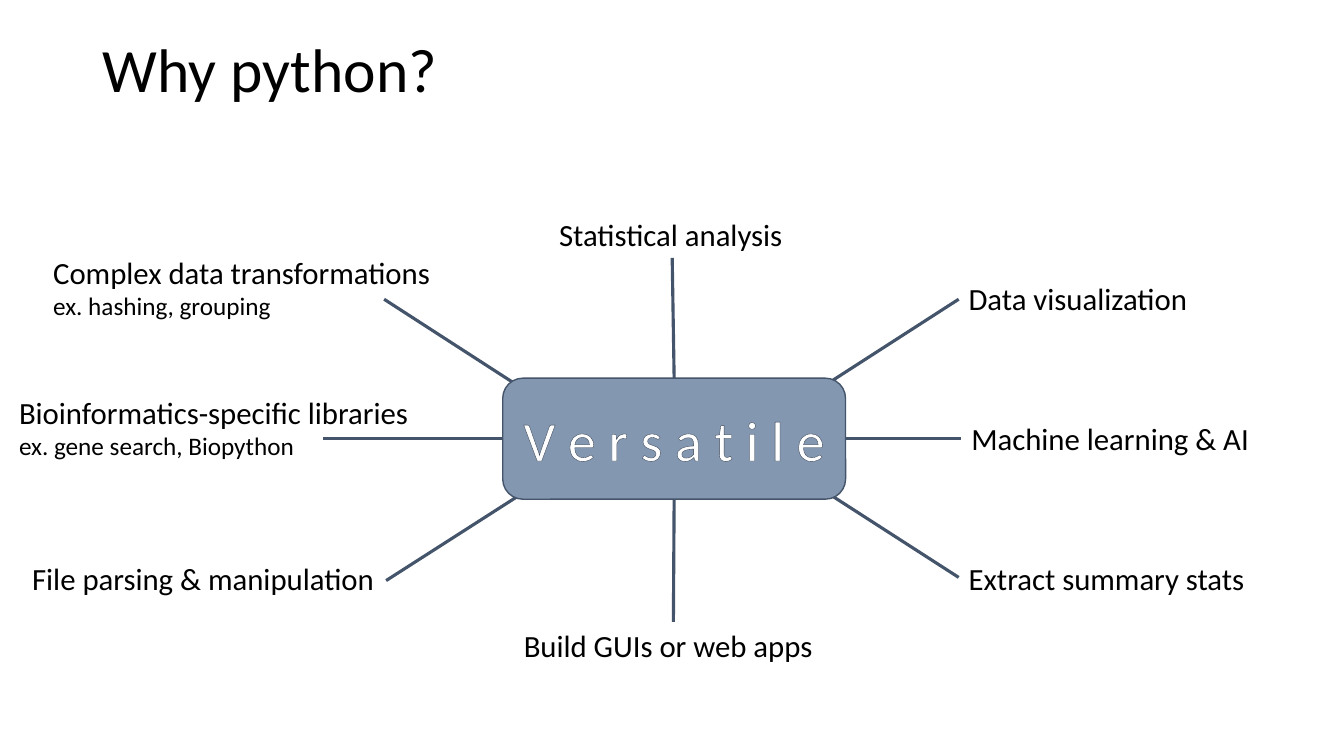
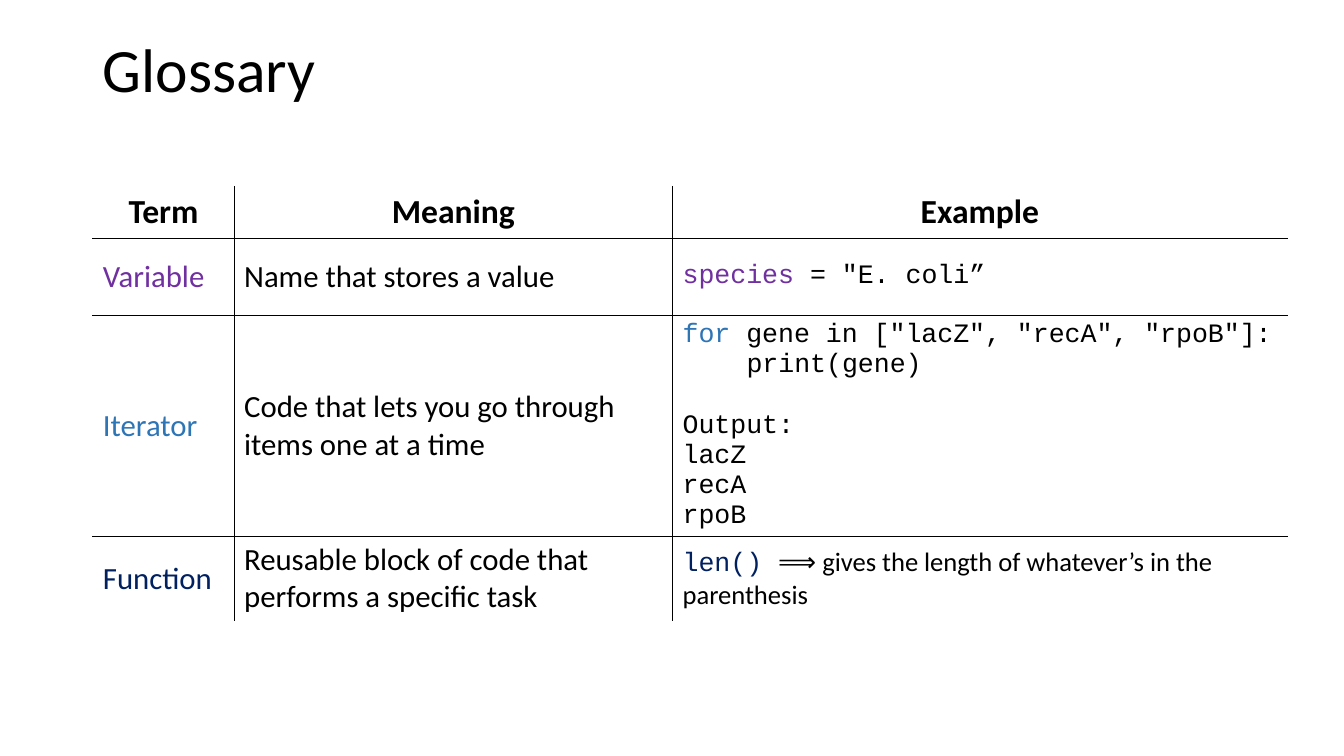
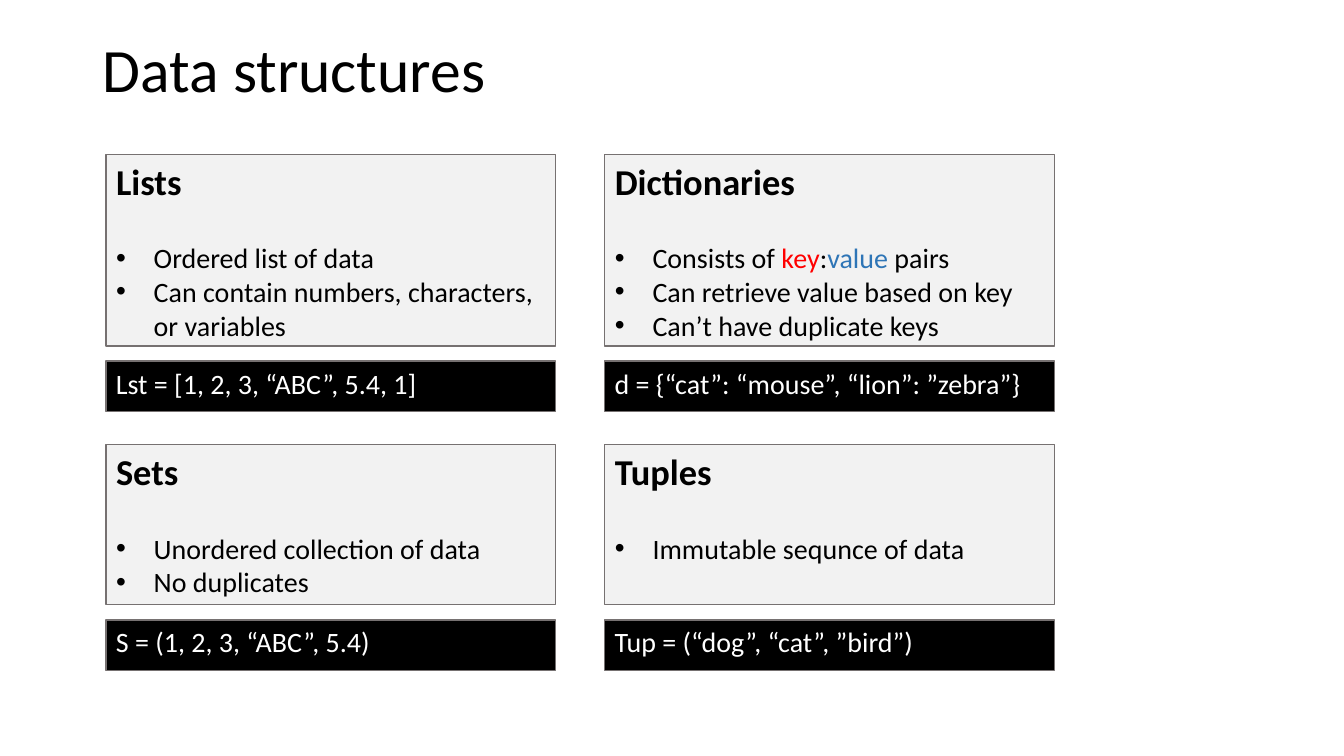
from lxml import etree
from pptx import Presentation
from pptx.dml.color import RGBColor
from pptx.enum.shapes import MSO_CONNECTOR as LINE, MSO_SHAPE as SHAPE
from pptx.enum.text import MSO_ANCHOR as ANCHOR, MSO_AUTO_SIZE as FIT, PP_ALIGN as ALIGN
from pptx.oxml.ns import qn
from pptx.util import Cm, Pt

BLACK, WHITE, SLATE, GRAY = "000000", "FFFFFF", "44546A", "767171"
PURPLE, BLUE, NAVY, RED = "7030A0", "2E75B6", "002060", "FF0000"
TITLE_ONLY, COMPARISON = 5, 4


def rgb(value):
    """Turn a hex string into a colour."""
    return RGBColor.from_string(value)


def assign(target, values):
    """Set each named attribute of the target."""
    for name, value in values.items():
        setattr(target, name, value)


def add_solid(parent, color):
    """Append a solid fill to an XML element."""
    solid = etree.SubElement(parent, qn("a:solidFill"))
    etree.SubElement(solid, qn("a:srgbClr"), val=color)


class Deck:
    """Hold the shared style and the slide being built."""

    base = {"name": "Calibri", "size": Pt(22), "bold": False, "color": BLACK}
    code = {"name": "Courier New", "size": Pt(19)}

    def __init__(self):
        """Start an empty widescreen deck."""
        self.prs = Presentation()
        assign(self.prs, {"slide_width": Cm(33.87), "slide_height": Cm(19.05)})
        self.s = None

    def place(self, sp, box):
        """Move and size a shape to a box in centimetres."""
        assign(sp, dict(zip(("left", "top", "width", "height"), map(Cm, box))))

    def frame(self, sp, anchor=ANCHOR.TOP):
        """Return a wrapping text frame of fixed size."""
        tf = sp.text_frame
        assign(tf, {"word_wrap": True, "auto_size": FIT.NONE, "vertical_anchor": anchor})
        return tf

    def paint(self, sp, fill, line):
        """Give a shape its fill and a thin outline."""
        sp.fill.solid()
        sp.fill.fore_color.rgb = rgb(fill)
        sp.line.color.rgb = rgb(line)
        sp.line.width = Pt(1)

    def para(self, tf, runs, layout=None, **style):
        """Write one paragraph of plain text or (text, format) runs."""
        p = tf.paragraphs[0]
        if p.runs:
            p = tf.add_paragraph()
        assign(p, {"alignment": ALIGN.LEFT, "space_before": Pt(0), **(layout or {})})
        for text, extra in [(runs, {})] if isinstance(runs, str) else runs:
            r = p.add_run()
            r.text = text
            values = {**self.base, **style, **extra}
            r.font.color.rgb = rgb(values.pop("color"))
            assign(r.font, values)
        return p

    def indent(self, p, left, first=0, bullet=None):
        """Set the indents and the bullet of a paragraph."""
        pr = p._p.get_or_add_pPr()
        pr.set("marL", str(Cm(left)))
        pr.set("indent", str(Cm(first)))
        if bullet:
            etree.SubElement(pr, qn("a:buFont"), typeface="Arial")
            etree.SubElement(pr, qn("a:buChar"), char=bullet)
        else:
            etree.SubElement(pr, qn("a:buNone"))

    def slide(self, title, layout=TITLE_ONLY):
        """Add a slide with the shared title style."""
        self.s = self.prs.slides.add_slide(self.prs.slide_layouts[layout])
        sp = self.s.shapes.title
        self.place(sp, (2.34, 0, 29.21, 3.68))
        self.para(self.frame(sp, ANCHOR.MIDDLE), title, {"line_spacing": 0.9}, size=Pt(44))

    def label(self, box, text, example=None):
        """Add a text box with an optional smaller example line."""
        tf = self.frame(self.s.shapes.add_textbox(*map(Cm, box)))
        self.para(tf, text)
        if example:
            self.para(tf, example, size=Pt(18))

    def spoke(self, ends):
        """Add a straight line between two points."""
        cx = self.s.shapes.add_connector(LINE.STRAIGHT, *map(Cm, ends))
        cx.line.color.rgb = rgb(SLATE)
        cx.line.width = Pt(2.25)
        etree.SubElement(cx._element.spPr, qn("a:effectLst"))

    def block(self, kind, box, fill, line, anchor=ANCHOR.TOP):
        """Add a filled shape and return its text frame."""
        sp = self.s.shapes.add_shape(kind, *map(Cm, box))
        sp.shadow.inherit = False
        self.paint(sp, fill, line)
        return self.frame(sp, anchor)

    def hub(self, box, text):
        """Add the rounded centre box with outlined letters."""
        tf = self.block(SHAPE.ROUNDED_RECTANGLE, box, "8497B0", SLATE, ANCHOR.MIDDLE)
        p = self.para(tf, text, {"alignment": ALIGN.CENTER}, size=Pt(40), color=WHITE)
        ln = etree.Element(qn("a:ln"), w=str(Pt(0.75)))
        add_solid(ln, "333F50")
        p.runs[0].font._element.insert(0, ln)

    def card(self, sp, box, heading, items, sample):
        """Fill a body placeholder with a list and add its code bar."""
        left, top, width, height = box
        self.place(sp, box)
        self.paint(sp, "F2F2F2", GRAY)
        tf = self.frame(sp)
        self.indent(self.para(tf, heading, size=Pt(26), bold=True), 0)
        for i, item in enumerate(items):
            p = self.para(tf, item, {"space_before": Pt(0 if i else 27)}, size=Pt(20))
            self.indent(p, 0.95, -0.95, "•")
        bar = (left, top + height + 0.38, width, 1.27)
        self.para(self.block(SHAPE.RECTANGLE, bar, BLACK, GRAY), sample, size=Pt(20), color=WHITE)

    def table(self, left, top, widths, heights):
        """Add a white table with black inner rules only."""
        rows, cols = len(heights), len(widths)
        box = map(Cm, (left, top, sum(widths), sum(heights)))
        table = self.s.shapes.add_table(rows, cols, *box).table
        table.horz_banding = False
        for col, width in zip(table.columns, widths):
            col.width = Cm(width)
        for row, height in zip(table.rows, heights):
            row.height = Cm(height)
        for i in range(rows):
            for j in range(cols):
                cell = table.cell(i, j)
                cell.fill.solid()
                cell.fill.fore_color.rgb = rgb(WHITE)
                inner = {"L": j > 0, "R": j < cols - 1, "T": i > 0, "B": i < rows - 1}
                for k, (side, dark) in enumerate(inner.items()):
                    ln = etree.Element(qn("a:ln" + side), w=str(Pt(1)))
                    add_solid(ln, BLACK if dark else WHITE)
                    cell._tc.get_or_add_tcPr().insert(k, ln)
        return table


def versatile(deck):
    """Build the slide of uses around a centre box."""
    deck.slide("Why python?")
    spokes = [
        ((24.16, 6.93, 8, 1.19), (20.65, 9.8, 24.16, 7.54), "Data visualization"),
        ((24.23, 10.44, 8, 1.19), (20.7, 11.05, 24.23, 11.05), "Machine learning & AI"),
        ((24.16, 13.97, 8, 1.19), (20.65, 12.29, 24.16, 14.55), "Extract summary stats"),
        ((13.84, 5.31, 6.3, 1.19), (16.99, 9.53, 16.94, 6.5), "Statistical analysis"),
        ((1.09, 6.27, 10.34, 1.96), (13.18, 9.8, 9.68, 7.54),
         "Complex data transformations", "ex. hashing, grouping"),
        ((0.23, 9.8, 11.13, 1.96), (13.16, 11.05, 8.13, 11.05),
         "Bioinformatics-specific libraries", "ex. gene search, Biopython"),
        ((0.56, 13.97, 9.4, 1.19), (13.26, 12.37, 9.73, 14.63), "File parsing & manipulation"),
        ((12.95, 15.67, 8.2, 1.19), (16.99, 12.57, 16.97, 15.67), "Build GUIs or web apps"),
    ]
    for box, ends, *words in spokes:
        deck.label(box, *words)
        deck.spoke(ends)
    deck.hub((12.67, 9.53, 8.64, 3.05), "V e r s a t i l e")


def glossary(deck):
    """Build the slide with the table of terms."""
    deck.slide("Glossary")
    table = deck.table(2.34, 4.7, (3.56, 11.05, 15.49), (1.3, 1.95, 5.56, 2.13))
    for j, heading in enumerate(("Term", "Meaning", "Example")):
        deck.para(table.cell(0, j).text_frame, heading, {"alignment": ALIGN.CENTER},
                  size=Pt(24), bold=True)
    terms = [
        ("Variable", PURPLE, "Name that stores a value",
         [[("species", {"color": PURPLE}), (' = "E. coli”', {})]]),
        ("Iterator", BLUE, "Code that lets you go through items one at a time",
         [[("for", {"color": BLUE}), (' gene in ["lacZ", "recA", "rpoB"]:', {})],
          "print(gene)", "Output:", "lacZ", "recA", "rpoB"]),
        ("Function", NAVY, "Reusable block of code that performs a specific task",
         [[("len() ", {"color": NAVY}),
           ("⟹ gives the length of whatever’s in the parenthesis", {"name": "Calibri"})]]),
    ]
    for i, (term, color, meaning, example) in enumerate(terms, 1):
        cells = [table.cell(i, j) for j in range(3)]
        for cell in cells:
            cell.vertical_anchor = ANCHOR.MIDDLE
        deck.para(cells[0].text_frame, term, color=color)
        deck.para(cells[1].text_frame, meaning)
        for line in example:
            gap = {"space_before": Pt(21.5 if line == "Output:" else 0)}
            p = deck.para(cells[2].text_frame, line, gap, **deck.code)
            if line == "print(gene)":
                deck.indent(p, 1.61)


def structures(deck):
    """Build the slide with four cards of data structures."""
    deck.slide("Data structures", COMPARISON)
    pairs = [("Consists of ", {}), ("key", {"color": RED}), (":", {}),
             ("value", {"color": BLUE}), (" pairs", {})]
    cards = [
        ("Lists", ["Ordered list of data", "Can contain numbers, characters, or variables"],
         "Lst = [1, 2, 3, “ABC”, 5.4, 1]"),
        ("Dictionaries", [pairs, "Can retrieve value based on key", "Can’t have duplicate keys"],
         "d = {“cat”: “mouse”, “lion”: ”zebra”}"),
        ("Sets", ["Unordered collection of data", "No duplicates"], "S = (1, 2, 3, “ABC”, 5.4)"),
        ("Tuples", ["Immutable sequnce of data"], "Tup = (“dog”, “cat”, ”bird”)"),
    ]
    bodies = list(deck.s.placeholders)[1:]
    rows = ((3.89, 4.83), (11.2, 4.04))
    for i, (sp, card) in enumerate(zip(bodies, cards)):
        top, height = rows[i // 2]
        deck.card(sp, (2.67 + i % 2 * 12.57, top, 11.33, height), *card)


def main():
    """Build and save the deck."""
    deck = Deck()
    for build in (versatile, glossary, structures):
        build(deck)
    deck.prs.save("out.pptx")


if __name__ == "__main__":
    main()
